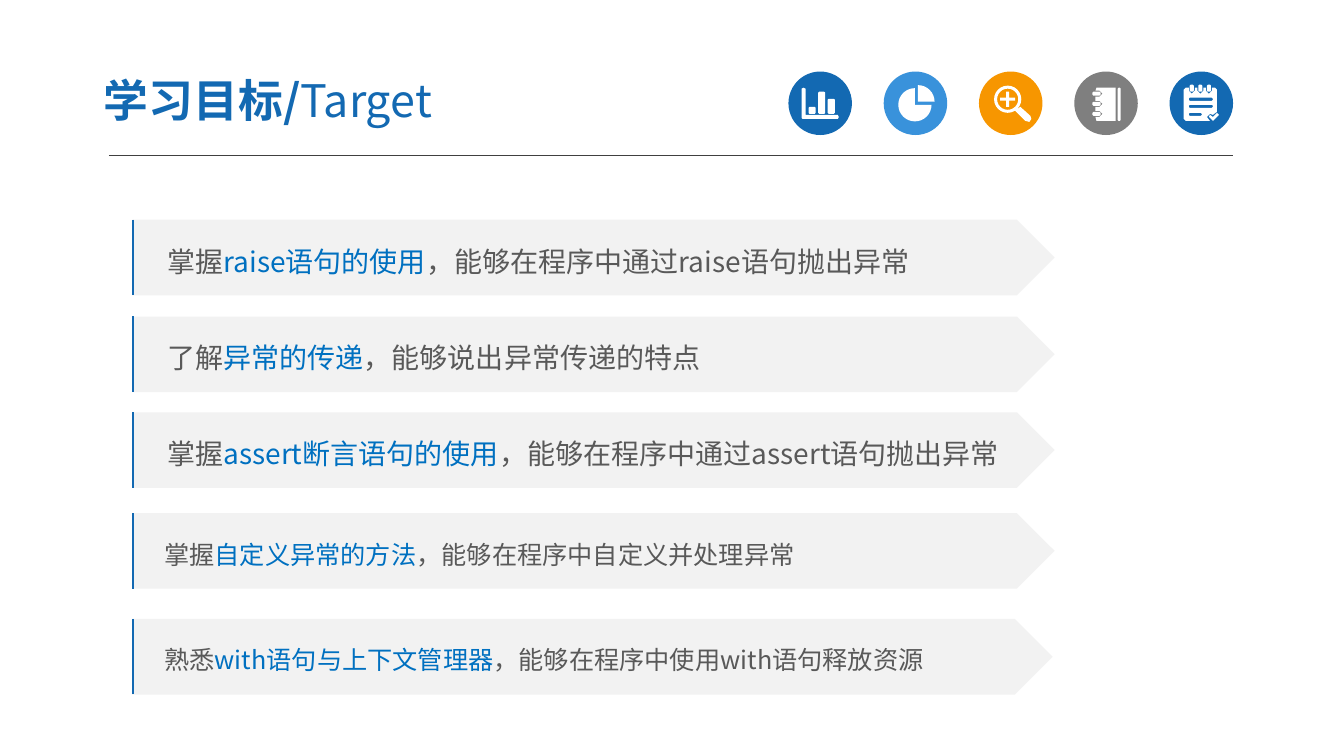
from math import cos, radians, sin

from lxml import etree
from pptx import Presentation
from pptx.dml.color import RGBColor
from pptx.enum.shapes import MSO_CONNECTOR, MSO_SHAPE
from pptx.enum.text import MSO_ANCHOR, PP_ALIGN
from pptx.oxml.ns import qn
from pptx.util import Inches, Pt

FONT = "Noto Sans CJK SC"
COLORS = {
    "blue": "1369B2", "sky": "3992DB", "orange": "F79600", "gray": "7F7F7F",
    "white": "FFFFFF", "band": "F2F2F2", "text": "595959",
    "accent": "0070C0", "rule": "404040",
}
OVAL, PENTAGON = MSO_SHAPE.OVAL, MSO_SHAPE.PENTAGON
STRAIGHT = MSO_CONNECTOR.STRAIGHT
LEFT, MIDDLE = PP_ALIGN.LEFT, MSO_ANCHOR.MIDDLE

BADGE_LEFT, BADGE_TOP, BADGE_SIZE, BADGE_PITCH = 7.82, 0.71, 0.63, 0.945
BAND_LEFT, BAND_HEIGHT = 1.31, 0.75

# top, width, text size, text inset, opening, highlight, rest
GOALS = [
    (2.18, 9.15, 20, 0.35, "掌握", "raise语句的使用", "，能够在程序中通过raise语句抛出异常"),
    (3.14, 9.15, 20, 0.35, "了解", "异常的传递", "，能够说出异常传递的特点"),
    (4.09, 9.15, 20, 0.35, "掌握", "assert断言语句的使用", "，能够在程序中通过assert语句抛出异常"),
    (5.09, 9.15, 18, 0.32, "掌握", "自定义异常的方法", "，能够在程序中自定义并处理异常"),
    (6.14, 9.13, 18, 0.32, "熟悉", "with语句与上下文管理器", "，能够在程序中使用with语句释放资源"),
]


def color(name):
    return RGBColor.from_string(COLORS[name])


def paint(shape, fill):
    shape.shadow.inherit = False
    shape.fill.solid()
    shape.fill.fore_color.rgb = color(fill)
    shape.line.fill.background()


def add_filled(shapes, kind, left, top, width, height, fill):
    shape = shapes.add_shape(
        kind, Inches(left), Inches(top), Inches(width), Inches(height))
    paint(shape, fill)
    return shape


def add_line(shapes, start, end, line_color, width):
    line = shapes.add_connector(STRAIGHT, *map(Inches, start + end))
    line.line.color.rgb = color(line_color)
    line.line.width = Pt(width)
    etree.SubElement(line._element.spPr, qn("a:effectLst"))


def add_run(paragraph, text, run_color, bold=None):
    run = paragraph.add_run()
    run.text = text
    run.font.color.rgb = color(run_color)
    run.font.bold = bold


def set_font(paragraph, size):
    paragraph.font.name = FONT
    paragraph.font.size = Pt(size)
    # Runs name the East Asian face as well as the Latin one
    for run in paragraph.runs:
        run.font.name = FONT
        run.font.size = Pt(size)
        etree.SubElement(run._r.get_or_add_rPr(), qn("a:ea"), typeface=FONT)


def add_title(slide):
    title = slide.shapes.title
    title.left, title.top = Inches(0.9), Inches(0.63)
    title.width, title.height = Inches(5.22), Inches(0.72)
    frame = title.text_frame
    frame.vertical_anchor = MIDDLE
    frame.margin_left = frame.margin_right = Inches(0.13)
    frame.margin_top = frame.margin_bottom = Inches(0.07)
    paragraph = frame.paragraphs[0]
    paragraph.alignment = LEFT
    add_run(paragraph, "学习目标/", "blue", True)
    add_run(paragraph, "Target", "blue", False)
    set_font(paragraph, 32)


# Symbol outlines, measured from the top left of a badge

def box(left, top, width, height, cut=0.01):
    """Rectangle with trimmed corners."""
    right, bottom = left + width, top + height
    return [(left + cut, top), (right - cut, top), (right, top + cut),
            (right, bottom - cut), (right - cut, bottom), (left + cut, bottom),
            (left, bottom - cut), (left, top + cut)]


def arc(x, y, radius, start=0, sweep=360, steps=24):
    angles = [radians(start + sweep * i / steps) for i in range(steps + 1)]
    return [(x + radius * cos(angle), y + radius * sin(angle)) for angle in angles]


def bar_chart():
    axes = [(0.13, 0.17), (0.15, 0.16), (0.17, 0.17), (0.17, 0.43), (0.49, 0.43),
            (0.5, 0.45), (0.49, 0.47), (0.14, 0.47), (0.13, 0.46)]
    bars = [box(0.2 + 0.095 * i, 0.42 - height, 0.07, height)
            for i, height in enumerate((0.07, 0.22, 0.15))]
    return [axes] + bars


def pie_chart():
    return [[(0.31, 0.33)] + arc(0.31, 0.33, 0.165, 0, 270),
            [(0.34, 0.3)] + arc(0.34, 0.3, 0.165, -90, 90, 8)]


def magnifier():
    plus = [(0.21, 0.26), (0.27, 0.26), (0.27, 0.2), (0.3, 0.2), (0.3, 0.26),
            (0.36, 0.26), (0.36, 0.29), (0.3, 0.29), (0.3, 0.35), (0.27, 0.35),
            (0.27, 0.29), (0.21, 0.29)]
    handle = [(0.41, 0.35), (0.51, 0.44), (0.52, 0.47), (0.5, 0.5),
              (0.46, 0.49), (0.36, 0.39)]
    return [arc(0.285, 0.275, 0.135), arc(0.285, 0.275, 0.105), plus, handle]


def notebook():
    rings = (0.22, 0.32, 0.42)
    body = [(0.22, 0.16), (0.41, 0.16), (0.41, 0.49), (0.22, 0.49)]
    for y in reversed(rings):
        body += [(0.21, y + 0.03), (0.25, y + 0.03), (0.28, y),
                 (0.25, y - 0.03), (0.21, y - 0.03)]
    return ([body, box(0.43, 0.16, 0.03, 0.33)]
            + [box(0.18, y - 0.02, 0.08, 0.04) for y in rings])


def notepad():
    rings = (0.22, 0.305, 0.39)
    page = [(0.14, 0.18), (0.16, 0.16)]
    for x in rings:
        page += [(x - 0.03, 0.16), (x - 0.03, 0.19), (x, 0.22),
                 (x + 0.03, 0.19), (x + 0.03, 0.16)]
    page += [(0.45, 0.16), (0.47, 0.18), (0.47, 0.4), (0.43, 0.43), (0.4, 0.42),
             (0.37, 0.45), (0.4, 0.49), (0.16, 0.49), (0.14, 0.47)]
    lines = [box(0.19, y, width, 0.03)
             for y, width in ((0.26, 0.24), (0.33, 0.24), (0.41, 0.13))]
    check = [(0.39, 0.45), (0.4, 0.43), (0.43, 0.45), (0.47, 0.41),
             (0.49, 0.43), (0.43, 0.49)]
    return ([page] + lines + [check]
            + [box(x - 0.02, 0.13, 0.04, 0.07) for x in rings])


def add_badge(slide, index, fill, outlines):
    shapes = slide.shapes.add_group_shape().shapes
    left = BADGE_LEFT + index * BADGE_PITCH
    add_filled(shapes, OVAL, left, BADGE_TOP, BADGE_SIZE, BADGE_SIZE, fill)
    builder = None
    for outline in outlines:
        points = [(Inches(left + x), Inches(BADGE_TOP + y)) for x, y in outline]
        if builder is None:
            builder = shapes.build_freeform(*points[0], scale=1.0)
        else:
            builder.move_to(*points[0])
        builder.add_line_segments(points[1:])
    paint(builder.convert_to_shape(), "white")


def add_goal(slide, top, width, size, inset, opening, highlight, rest):
    shapes = slide.shapes.add_group_shape().shapes
    band = add_filled(shapes, PENTAGON, BAND_LEFT, top, width, BAND_HEIGHT, "band")
    frame = band.text_frame
    frame.word_wrap = True
    frame.vertical_anchor = MIDDLE
    frame.margin_left, frame.margin_right = Inches(inset), 0
    paragraph = frame.paragraphs[0]
    paragraph.alignment = LEFT
    paragraph.line_spacing = 1.2
    add_run(paragraph, opening, "text")
    add_run(paragraph, highlight, "accent")
    add_run(paragraph, rest, "text")
    set_font(paragraph, size)
    edge = BAND_LEFT + 0.01
    add_line(shapes, (edge, top), (edge, top + BAND_HEIGHT), "blue", 1.5)


def main():
    presentation = Presentation()
    presentation.slide_width, presentation.slide_height = Inches(13.33), Inches(7.5)
    slide = presentation.slides.add_slide(presentation.slide_layouts[5])

    # Header
    add_line(slide.shapes, (1.08, 1.54), (12.23, 1.54), "rule", 0.75)
    badges = [("blue", bar_chart), ("sky", pie_chart), ("orange", magnifier),
              ("gray", notebook), ("blue", notepad)]
    for index, (fill, symbol) in enumerate(badges):
        add_badge(slide, index, fill, symbol())
    add_title(slide)

    # Learning goals
    for goal in GOALS:
        add_goal(slide, *goal)

    presentation.save("out.pptx")


if __name__ == "__main__":
    main()
